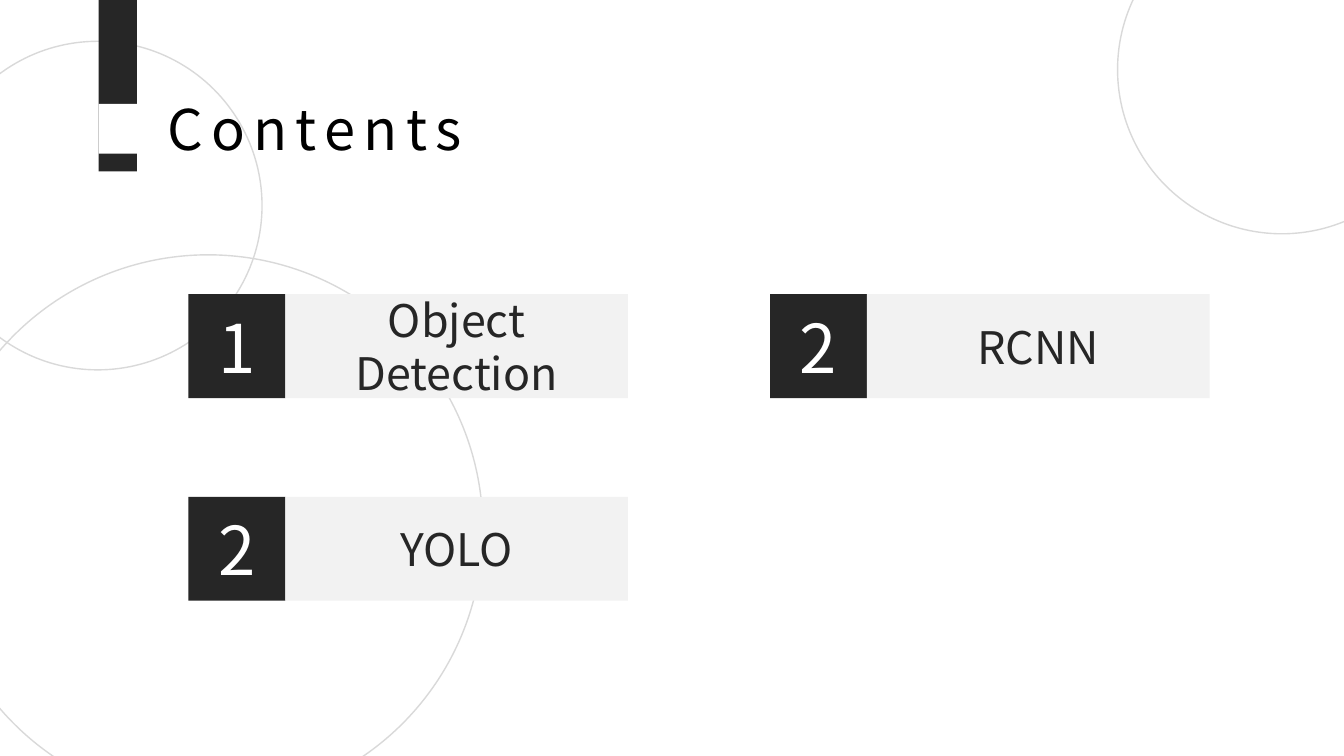
from pptx import Presentation
from pptx.dml.color import RGBColor
from pptx.enum.shapes import MSO_SHAPE
from pptx.enum.text import MSO_ANCHOR, MSO_AUTO_SIZE, PP_ALIGN
from pptx.util import Pt

RECTANGLE, OVAL = MSO_SHAPE.RECTANGLE, MSO_SHAPE.OVAL
MIDDLE, CENTER = MSO_ANCHOR.MIDDLE, PP_ALIGN.CENTER
GROW = MSO_AUTO_SIZE.SHAPE_TO_FIT_TEXT

COLORS = {"dark": "262626", "light": "F2F2F2", "white": "FFFFFF",
          "black": "000000", "outline": "D9D9D9"}

TITLE_FONT = {"name": "Noto Sans CJK SC", "size": Pt(40)}
NUMBER_FONT = {"name": "Noto Sans CJK JP", "size": Pt(48)}
LABEL_FONT = {"name": "Noto Sans CJK JP", "size": Pt(32)}

# Card grid, in points
GRID_LEFT, GRID_TOP = 134.6, 210.2
COLUMN_STEP, ROW_STEP = 415.4, 144.7
NUMBER_WIDTH, LABEL_WIDTH, CARD_HEIGHT = 69.2, 244.8, 74.2

# Column, row, number, label
CARDS = [(0, 0, "1", "Object Detection"), (1, 0, "2", "RCNN"), (0, 1, "2", "YOLO")]


def color(name):
    return RGBColor.from_string(COLORS[name])


def write(paragraph, text, font_format, color_name):
    run = paragraph.add_run()
    run.text = text
    for attribute, value in font_format.items():
        setattr(run.font, attribute, value)
    run.font.color.rgb = color(color_name)
    return run


def add_circle(slide, left, top, diameter):
    circle = slide.shapes.add_shape(OVAL, Pt(left), Pt(top), Pt(diameter), Pt(diameter))
    circle.shadow.inherit = False
    circle.fill.background()
    circle.line.color.rgb = color("outline")
    circle.line.width = Pt(1)


def add_block(slide, left, top, width, height, fill):
    block = slide.shapes.add_shape(RECTANGLE, Pt(left), Pt(top), Pt(width), Pt(height))
    block.shadow.inherit = False
    block.fill.solid()
    block.fill.fore_color.rgb = color(fill)
    block.line.fill.background()
    return block


def add_text_block(slide, left, top, width, fill, text, font_format, text_color):
    block = add_block(slide, left, top, width, CARD_HEIGHT, fill)
    block.text_frame.word_wrap = True
    block.text_frame.vertical_anchor = MIDDLE
    paragraph = block.text_frame.paragraphs[0]
    paragraph.alignment = CENTER
    write(paragraph, text, font_format, text_color)


def add_card(slide, column, row, number, label):
    left = GRID_LEFT + column * COLUMN_STEP
    top = GRID_TOP + row * ROW_STEP
    add_text_block(slide, left, top, NUMBER_WIDTH, "dark", number, NUMBER_FONT, "white")
    add_text_block(slide, left + NUMBER_WIDTH, top, LABEL_WIDTH, "light",
                   label, LABEL_FONT, "dark")


def add_title(slide, text):
    box = slide.shapes.add_textbox(Pt(112.3), Pt(64.1), Pt(248.4), Pt(55.4))
    box.text_frame.word_wrap = False
    box.text_frame.auto_size = GROW
    run = write(box.text_frame.paragraphs[0], text, TITLE_FONT, "black")
    run.font._element.set("spc", "600")  # letter spacing, hundredths of a point


def main():
    presentation = Presentation()
    presentation.slide_width, presentation.slide_height = Pt(960), Pt(540)
    slide = presentation.slides.add_slide(presentation.slide_layouts[6])

    # Background circles
    add_circle(slide, -47.5, 29.5, 234.7)
    add_circle(slide, -47.5, 182, 392.4)
    add_circle(slide, 798.3, -67.7, 234.7)

    # Title with its notched bar
    add_block(slide, 70.4, 0, 27.4, 122.4, "dark")
    add_title(slide, "Contents")
    add_block(slide, 70.4, 74.3, 27.4, 35.5, "white")

    # Contents cards
    for card in CARDS:
        add_card(slide, *card)

    presentation.save("out.pptx")


if __name__ == "__main__":
    main()
